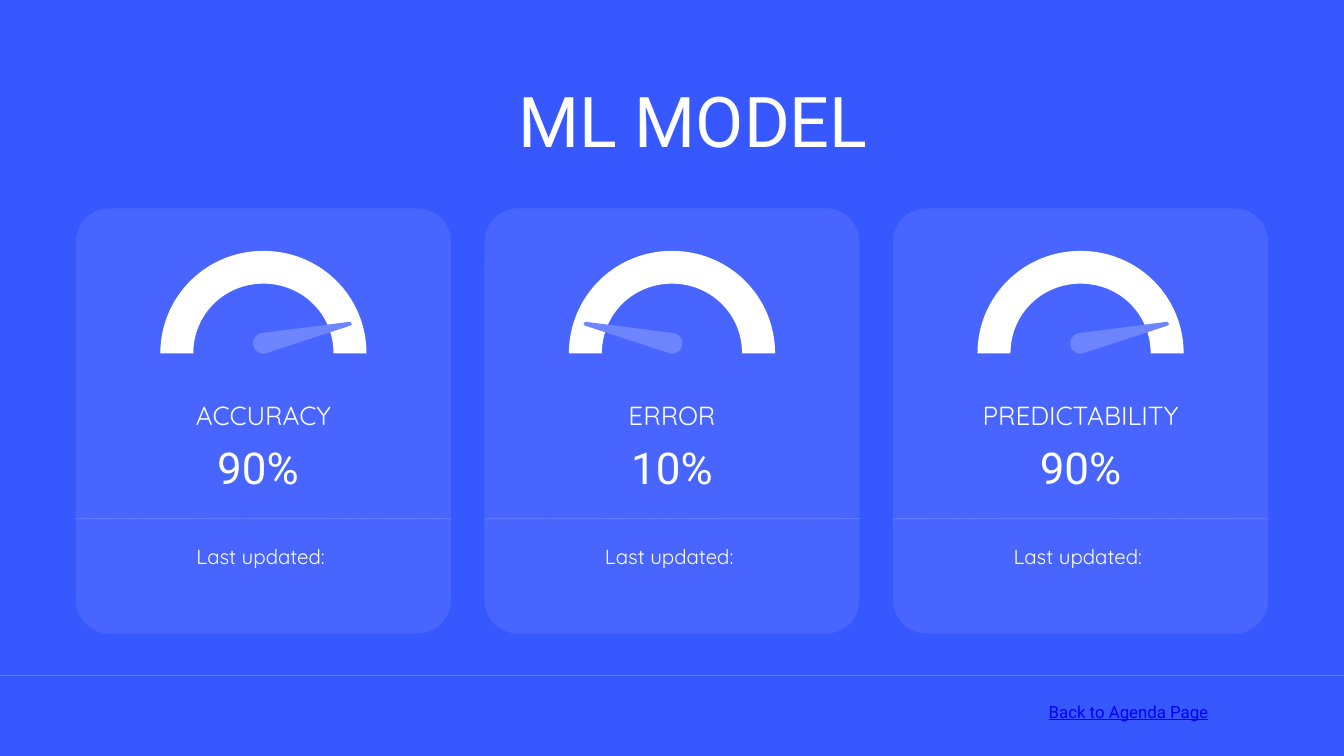
from collections import namedtuple

from lxml import etree
from pptx import Presentation
from pptx.dml.color import RGBColor
from pptx.enum.dml import MSO_LINE
from pptx.enum.shapes import MSO_CONNECTOR, MSO_SHAPE
from pptx.enum.text import MSO_ANCHOR, MSO_AUTO_SIZE, PP_ALIGN
from pptx.oxml.ns import qn
from pptx.util import Inches, Pt

BLUE = RGBColor(0x38, 0x58, 0xFF)
LILAC = RGBColor(0x6D, 0x85, 0xFF)
WHITE = RGBColor(0xFF, 0xFF, 0xFF)
LINK = RGBColor(0x00, 0x00, 0xFF)
HEAD, BODY = "Roboto", "Quicksand"

Box = namedtuple("Box", "x y w h")
SLIDE = Box(0, 0, 20, 11.25)
CARD_W, CARD_H, CARD_TOP, PITCH = 5.58, 6.33, 3.1, 6.08
CARDS = [("ACCURACY", "90% ", False), ("ERROR", "10%", True), ("PREDICTABILITY", "90%", False)]

DIAL = [[(0, 1)],
        [(0, 0.45), (0.22, 0), (0.5, 0)],
        [(0.78, 0), (1, 0.45), (1, 1)],
        [(0.84, 1)],
        [(0.84, 0.62), (0.69, 0.32), (0.5, 0.32)],
        [(0.31, 0.32), (0.16, 0.62), (0.16, 1)]]
NEEDLE = [[(0.13, 0.98)],
          [(0.1, 1), (0.06, 0.96), (0.03, 0.88)],
          [(0.01, 0.79), (0, 0.67), (0.01, 0.56)],
          [(0.03, 0.46), (0.05, 0.37), (0.09, 0.35)],
          [(0.97, 0)],
          [(0.98, 0), (0.99, 0), (0.99, 0.02)],
          [(1, 0.04), (1, 0.06), (1, 0.08)],
          [(1, 0.1), (0.99, 0.12), (0.98, 0.12)]]


def share(box, x, y, w, h):
    return Box(box.x + x * box.w, box.y + y * box.h, w * box.w, h * box.h)


def emu(box):
    return [Inches(v) for v in box]


def set_alpha(fill, percent):
    color = fill._xPr.find(f"{qn('a:solidFill')}/{qn('a:srgbClr')}")
    etree.SubElement(color, qn("a:alpha"), val=str(percent * 1000))


def paint(sp, color, alpha=None):
    sp.shadow.inherit = False
    sp.fill.solid()
    sp.fill.fore_color.rgb = color
    sp.line.fill.background()
    if alpha:
        set_alpha(sp.fill, alpha)


def write(sp, text, size, leading, font, color=WHITE, align=PP_ALIGN.CENTER, underline=None):
    tf = sp.text_frame
    tf.word_wrap = True
    tf.auto_size = MSO_AUTO_SIZE.NONE
    tf.vertical_anchor = MSO_ANCHOR.TOP
    tf.margin_left = tf.margin_right = tf.margin_top = tf.margin_bottom = 0
    p = tf.paragraphs[0]
    p.alignment = align
    p.line_spacing = Pt(leading)
    p.space_before = Pt(0)
    r = p.add_run()
    r.text = text
    r.font.size = Pt(size)
    r.font.name = font
    r.font.color.rgb = color
    r.font.underline = underline


def add_text(s, box, *args, **style):
    write(s.shapes.add_textbox(*emu(box)), *args, **style)


def add_rule(s, x, y, w, dash):
    line = s.shapes.add_connector(
        MSO_CONNECTOR.STRAIGHT, Inches(x), Inches(y), Inches(x + w), Inches(y))
    line.line.width = Pt(0.75)
    line.line.color.rgb = WHITE
    line.line.dash_style = dash
    set_alpha(line.line.fill, 34)
    etree.SubElement(line._element.spPr, qn("a:effectLst"))


def add_outline(s, box, segments, color, flip=False):
    points = [(Inches(box.x + (1 - x if flip else x) * box.w), Inches(box.y + y * box.h))
              for segment in segments for x, y in segment]
    builder = s.shapes.build_freeform(*points[0])
    builder.add_line_segments(points[1:], close=True)
    sp = builder.convert_to_shape()
    steps = iter(list(sp._element.iter(qn("a:lnTo"))))
    for segment in segments[1:]:
        first, *rest = [next(steps) for _ in segment]
        if rest:
            first.tag = qn("a:cubicBezTo")
            for step in rest:
                first.append(step[0])
                step.getparent().remove(step)
    paint(sp, color)


def add_gauge(s, box, flip):
    add_outline(s, box, DIAL, WHITE)
    left, width = 0.447, 0.482
    if flip:
        left = 1 - left - width
    add_outline(s, share(box, left, 0.693, width, 0.314), NEEDLE, LILAC, flip)


def add_card(s, box, label, value, flip):
    sp = s.shapes.add_shape(MSO_SHAPE.ROUNDED_RECTANGLE, *emu(box))
    sp.adjustments[0] = 0.09
    paint(sp, LILAC, alpha=30)
    add_rule(s, box.x, box.y + 0.73 * box.h, box.w, MSO_LINE.ROUND_DOT)
    add_gauge(s, share(box, 0.225, 0.1, 0.55, 0.241), flip)
    rows = [(value, 0.547, 0.125, 47, 56.4, HEAD),
            (label, 0.436, 0.082, 28, 39.2, BODY),
            ("Last updated: ", 0.784, 0.063, 22, 28.6, BODY)]
    for text, top, height, size, leading, font in rows:
        add_text(s, share(box, 0.12, top, 0.76, height), text, size, leading, font)


def add_title(s, box):
    sp = s.shapes.title
    sp.left, sp.top, sp.width, sp.height = emu(box)
    write(sp, "ML MODEL", 75, 97.5, HEAD)


def add_footer(s, box):
    add_rule(s, box.x, box.y, box.w, MSO_LINE.SOLID)
    add_text(s, share(box, 0.729, 0.28, 0.17, 0.28), "Back to Agenda Page", 18, 25.2,
             HEAD, color=LINK, align=PP_ALIGN.RIGHT, underline=True)


def main():
    prs = Presentation()
    prs.slide_width, prs.slide_height = Inches(SLIDE.w), Inches(SLIDE.h)
    s = prs.slides.add_slide(prs.slide_layouts[5])
    s.background.fill.solid()
    s.background.fill.fore_color.rgb = BLUE
    add_title(s, share(SLIDE, 0.2275, 0.093, 0.5765, 0.117))
    margin = (SLIDE.w - CARD_W - PITCH * (len(CARDS) - 1)) / 2
    for i, card in enumerate(CARDS):
        add_card(s, Box(margin + i * PITCH, CARD_TOP, CARD_W, CARD_H), *card)
    add_footer(s, Box(0, 10.05, SLIDE.w, SLIDE.h - 10.05))
    prs.save("out.pptx")


if __name__ == "__main__":
    main()
